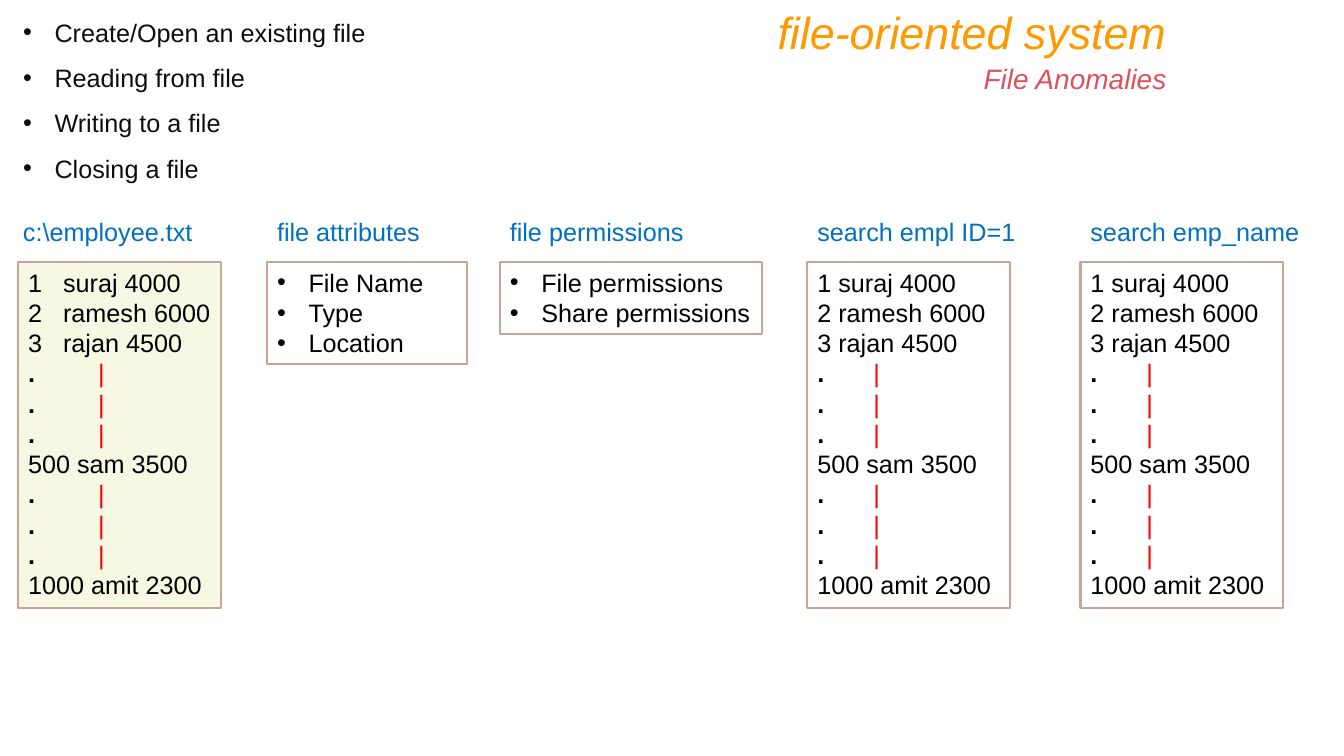
from lxml.etree import SubElement
from pptx import Presentation
from pptx.dml.color import RGBColor
from pptx.enum.shapes import MSO_SHAPE
from pptx.enum.text import MSO_ANCHOR, MSO_AUTO_SIZE, PP_ALIGN
from pptx.oxml.ns import qn
from pptx.util import Pt

BLACK = RGBColor(0x00, 0x00, 0x00)
INK = RGBColor(0x0D, 0x0D, 0x0D)
RED = RGBColor(0xFF, 0x00, 0x00)
BLUE = RGBColor(0x00, 0x70, 0xC0)
ORANGE = RGBColor(0xFF, 0x99, 0x00)
ROSE = RGBColor(0xDC, 0x52, 0x5C)
BORDER = RGBColor(0xCA, 0xA4, 0x96)
CREAM = RGBColor(0xF6, 0xF8, 0xE4)

HEADING_TOP = 151
BOX_TOP = 187.2
DOTS = ["."] * 3


def style_run(r, color, size=18, bold=False, italic=False):
    """Set the font of one run."""
    r.font.name = "Arial"
    r.font.size = Pt(size)
    r.font.color.rgb = color
    r.font.bold = bold
    r.font.italic = italic


def fill_text(sp, lines, color, size=18, italic=False):
    """Write one paragraph per line and return the paragraphs."""
    tf = sp.text_frame
    tf.word_wrap = True
    tf.auto_size = MSO_AUTO_SIZE.SHAPE_TO_FIT_TEXT
    tf.vertical_anchor = MSO_ANCHOR.TOP
    tf.text = "\n".join(lines)
    for p in tf.paragraphs:
        p.alignment = PP_ALIGN.LEFT
        style_run(p.runs[0], color, size, italic=italic)
    return tf.paragraphs


def add_text(s, x, y, w, h, lines, color, size=18, italic=False):
    """Add a text box and return its paragraphs."""
    sp = s.shapes.add_textbox(Pt(x), Pt(y), Pt(w), Pt(h))
    return fill_text(sp, lines, color, size, italic)


def add_title(s, x, y, w, h, text, color, size):
    """Add a right-aligned italic title."""
    for p in add_text(s, x, y, w, h, [text], color, size, True):
        p.alignment = PP_ALIGN.RIGHT


def add_box(s, x, w, h, fill=None):
    """Add a bordered box in the lower row."""
    sp = s.shapes.add_shape(MSO_SHAPE.RECTANGLE, Pt(x), Pt(BOX_TOP), Pt(w), Pt(h))
    sp.shadow.inherit = False
    if fill is None:
        sp.fill.background()
    else:
        sp.fill.solid()
        sp.fill.fore_color.rgb = fill
    sp.line.color.rgb = BORDER
    sp.line.width = Pt(1.5)
    return sp


def add_bullets(paragraphs):
    """Give each paragraph a hanging round bullet."""
    for p in paragraphs:
        pPr = p._p.get_or_add_pPr()
        pPr.set("marL", str(Pt(22.5)))
        pPr.set("indent", str(-Pt(22.5)))
        SubElement(pPr, qn("a:buFont"), typeface="Arial")
        SubElement(pPr, qn("a:buChar"), char="•")


def add_tab(p, position):
    """Add a left tab stop to a paragraph."""
    tabs = SubElement(p._p.get_or_add_pPr(), qn("a:tabLst"))
    SubElement(tabs, qn("a:tab"), pos=str(Pt(position)), algn="l")


def add_records(s, x, separator, bar_tab, fill=None):
    """Add an employee file listing with red continuation bars."""
    names = ["suraj 4000", "ramesh 6000", "rajan 4500"]
    first = [f"{i}{separator}{name}" for i, name in enumerate(names, 1)]
    sp = add_box(s, x, 144.72, 246.96, fill)
    sp.text_frame.margin_right = Pt(0)
    lines = first + DOTS + ["500 sam 3500"] + DOTS + ["1000 amit 2300"]
    for p in fill_text(sp, lines, BLACK):
        if p.text == ".":
            add_tab(p, bar_tab)
            p.runs[0].font.bold = True
            r = p.add_run()
            r.text = "\t|"
            style_run(r, RED)
        elif "\t" in p.text:
            add_tab(p, 25)


def main():
    """Build the slide and save it."""
    prs = Presentation()
    prs.slide_width, prs.slide_height = Pt(960), Pt(540)
    s = prs.slides.add_slide(prs.slide_layouts[6])

    operations = ["Create/Open an existing file", "Reading from file",
                  "Writing to a file", "Closing a file"]
    paragraphs = add_text(s, 9.36, -2.16, 436, 134, operations, INK)
    add_bullets(paragraphs)
    for p in paragraphs:
        p.line_spacing = 1.5

    add_title(s, 694, 40.3, 146.3, 31.7, "File Anomalies", ROSE, 20)
    add_title(s, 120.3, 0, 720, 46, "file-oriented system", ORANGE, 32)

    headings = [(9.36, 148.3, "c:\\employee.txt"),
                (190.8, 142.6, "file attributes"),
                (357.1, 187.2, "file permissions"),
                (576.7, 162, "search empl ID=1"),
                (771.8, 171.4, "search emp_name")]
    for x, w, text in headings:
        add_text(s, x, HEADING_TOP, w, 28.8, [text], BLUE)

    lists = [(190.8, 142.6, 72.7, ["File Name", "Type", "Location"]),
             (357.1, 187.2, 51.1, ["File permissions", "Share permissions"])]
    for x, w, h, lines in lists:
        add_bullets(fill_text(add_box(s, x, w, h), lines, BLACK))

    add_records(s, 12.96, "\t", 50, CREAM)
    for x in (576.7, 771.8):
        add_records(s, x, " ", 40)

    prs.save("out.pptx")


if __name__ == "__main__":
    main()
